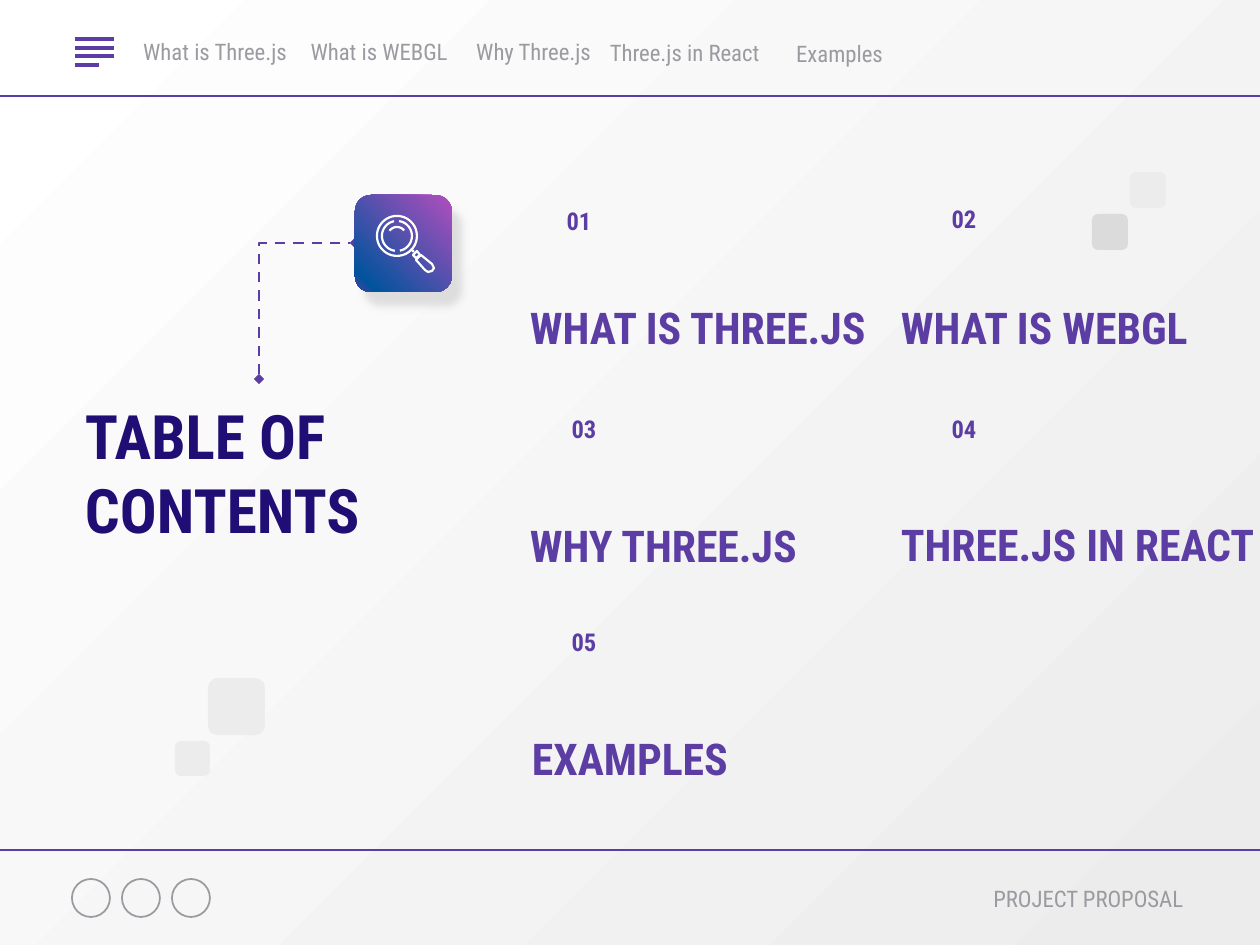
from copy import deepcopy
from math import cos, sin, radians
from lxml.etree import SubElement
from pptx import Presentation
from pptx.dml.color import RGBColor
from pptx.enum.dml import MSO_LINE
from pptx.enum.shapes import MSO_CONNECTOR, MSO_SHAPE
from pptx.enum.text import MSO_ANCHOR, MSO_AUTO_SIZE, PP_ALIGN
from pptx.oxml.ns import qn
from pptx.util import Emu, Pt

FONT = "Roboto Condensed"
HUES = {"navy": "200E74", "plum": "5C3DA4", "gray": "9A9AA0", "mid": "DBDBDB",
        "pale": "ECECEC", "white": "FFFFFF", "pink": "B24EBE", "blue": "01539D",
        "shade": "CCCCCC"}

# Content: text, then place in px
MENU = [("What is Three.js", 127, 24, 176), ("What is WEBGL", 291, 24, 176),
        ("Why Three.js", 452, 24, 163), ("Three.js in React", 593, 25, 183),
        ("Examples", 765, 26, 149)]
# Number, its left and top, heading, its left and top
TOPICS = [("01", 523, 200, "WHAT IS THREE.JS", 517, 291),
          ("02", 908, 198, "WHAT IS WEBGL", 888, 291),
          ("03", 528, 408, "WHY THREE.JS", 517, 509),
          ("04", 908, 408, "THREE.JS IN REACT", 888, 508),
          ("05", 528, 621, "EXAMPLES", 519, 722)]
BLOCKS = [(1092, 214, 36, "mid"), (1130, 172, 36, "pale"),
          (208, 678, 57, "pale"), (175, 741, 35, "pale")]
RULES = [(0, 96, 1260, 0.75), (0, 850, 1260, 0.75)]
BARS = [(75, 39, 114, 2.25), (75, 48, 114, 2.25),
        (75, 56, 114, 2.25), (75, 65, 99, 2.25)]
BADGES = [72, 122, 172]
# Magnifier: arcs as radius, start and end degree; handle as points
LENS = (397, 236)
ARCS = [(20, 0, 360), (15, -82, 82), (15, 98, 262), (9, 215, 325)]
NECK = [(411, 249), (414, 252)]
COLLAR = [(417, 251), (420, 255), (416, 258), (413, 255), (417, 251)]
GRIP = [(421, 255), (432, 264), (434, 268), (432, 271), (428, 272),
        (425, 270), (416, 260), (421, 255)]


def px(n):
    return Emu(round(n * 914400 / 126))


def hue(name):
    return RGBColor.from_string(HUES[name])


def write(box, text, size=13, color="gray", bold=False,
          align=PP_ALIGN.LEFT, anchor=MSO_ANCHOR.MIDDLE):
    frame = box.text_frame
    frame.word_wrap = True
    frame.auto_size = MSO_AUTO_SIZE.NONE
    frame.vertical_anchor = anchor
    frame.margin_left = frame.margin_right = px(13)
    frame.margin_top = frame.margin_bottom = px(6)
    para = frame.paragraphs[0]
    para.alignment = align
    run = para.add_run()
    run.text = text
    run.font.name, run.font.size, run.font.bold = FONT, Pt(size), bold
    run.font.color.rgb = hue(color)


def label(x, y, w, h, text, **form):
    write(slide.shapes.add_textbox(px(x), px(y), px(w), px(h)), text, **form)


def link(kind, x1, y1, x2, y2, width):
    line = slide.shapes.add_connector(kind, px(x1), px(y1), px(x2), px(y2))
    line.line.color.rgb = hue("plum")
    line.line.width = Pt(width)
    SubElement(line._element.spPr, qn("a:effectLst"))
    return line


def shape(kind, x, y, size, fill=None):
    item = slide.shapes.add_shape(kind, px(x), px(y), px(size), px(size))
    item.shadow.inherit = False
    item.line.fill.background()
    if fill:
        item.fill.solid()
        item.fill.fore_color.rgb = hue(fill)
    else:
        item.fill.background()
    return item


def blend(fill, angle, *names):
    fill.gradient()
    fill.gradient_angle = angle
    for stop, name, place in zip(fill.gradient_stops, names, (0, 1)):
        stop.color.rgb = hue(name)
        stop.position = place


def trace(points):
    spots = [(px(x), px(y)) for x, y in points]
    path = slide.shapes.build_freeform(*spots[0], scale=1.0)
    path.add_line_segments(spots[1:], close=spots[0] == spots[-1])
    item = path.convert_to_shape()
    item.shadow.inherit = False
    item.fill.background()
    item.line.color.rgb = hue("white")
    item.line.width = Pt(1.25)


def arc(radius, start, end, steps=48):
    turns = [radians(start + (end - start) * i / steps) for i in range(steps)]
    points = [(LENS[0] + radius * cos(t), LENS[1] + radius * sin(t)) for t in turns]
    return points + points[:1] if end - start == 360 else points


deck = Presentation()
deck.slide_width, deck.slide_height = px(1260), px(945)
slide = deck.slides.add_slide(deck.slide_layouts[5])
blend(slide.background.fill, 315, "white", "pale")

# Rules, menu icon and social badges
for x, y, end, width in RULES + BARS:
    link(MSO_CONNECTOR.STRAIGHT, x, y, end, y, width)
for x in BADGES:
    badge = shape(MSO_SHAPE.OVAL, x, 879, 38)
    badge.line.color.rgb = hue("gray")
    badge.line.width = Pt(1)

# Menu and footer
for text, x, y, w in MENU:
    label(x, y, w, 55, text, align=PP_ALIGN.CENTER)
label(881, 871, 315, 55, "PROJECT PROPOSAL", align=PP_ALIGN.RIGHT)

# Title
title = slide.shapes.title
title.left, title.top, title.width, title.height = map(px, (72, 379, 375, 186))
write(title, "TABLE OF CONTENTS", size=35, color="navy", bold=True)

# Topics
for num, nx, ny, head, x, y in TOPICS:
    label(nx, ny, 112, 89, num, size=14, color="plum", bold=True,
          align=PP_ALIGN.CENTER, anchor=MSO_ANCHOR.TOP)
    label(x, y, 418 if x == 888 else 367, 73, head, size=25, color="plum", bold=True)

# Dashed elbow from title to tile: a two-leg bend turned a quarter back
bend = link(MSO_CONNECTOR.ELBOW, 239, 263, 375, 359, 1.5)
bend.line.dash_style = MSO_LINE.DASH
props = bend._element.spPr
props.find(qn("a:prstGeom")).set("prst", "bentConnector2")
props.find(qn("a:xfrm")).set("rot", str(270 * 60000))
for tip in ("a:headEnd", "a:tailEnd"):
    SubElement(props.find(qn("a:ln")), qn(tip), type="diamond")

# Decorative blocks
for x, y, size, fill in BLOCKS:
    shape(MSO_SHAPE.ROUNDED_RECTANGLE, x, y, size, fill)

# Tile with three-stop blend and soft shadow
tile = shape(MSO_SHAPE.ROUNDED_RECTANGLE, 355, 195, 97)
blend(tile.fill, 225, "pink", "plum")
first, last = tile._element.spPr.iter(qn("a:gs"))
inner = deepcopy(last)
inner.set("pos", "89000")
inner.find(qn("a:srgbClr")).set("val", HUES["blue"])
last.addprevious(inner)
glow = SubElement(tile._element.spPr.find(qn("a:effectLst")), qn("a:outerShdw"),
                  blurRad=str(Pt(4.5)), dist=str(Pt(9.8)), dir=str(55 * 60000),
                  algn="bl", rotWithShape="0")
shade = SubElement(glow, qn("a:srgbClr"), val=HUES["shade"])
SubElement(shade, qn("a:alpha"), val="60000")

# Magnifier
for points in [arc(*a) for a in ARCS] + [NECK, COLLAR, GRIP]:
    trace(points)

deck.save("out.pptx")
